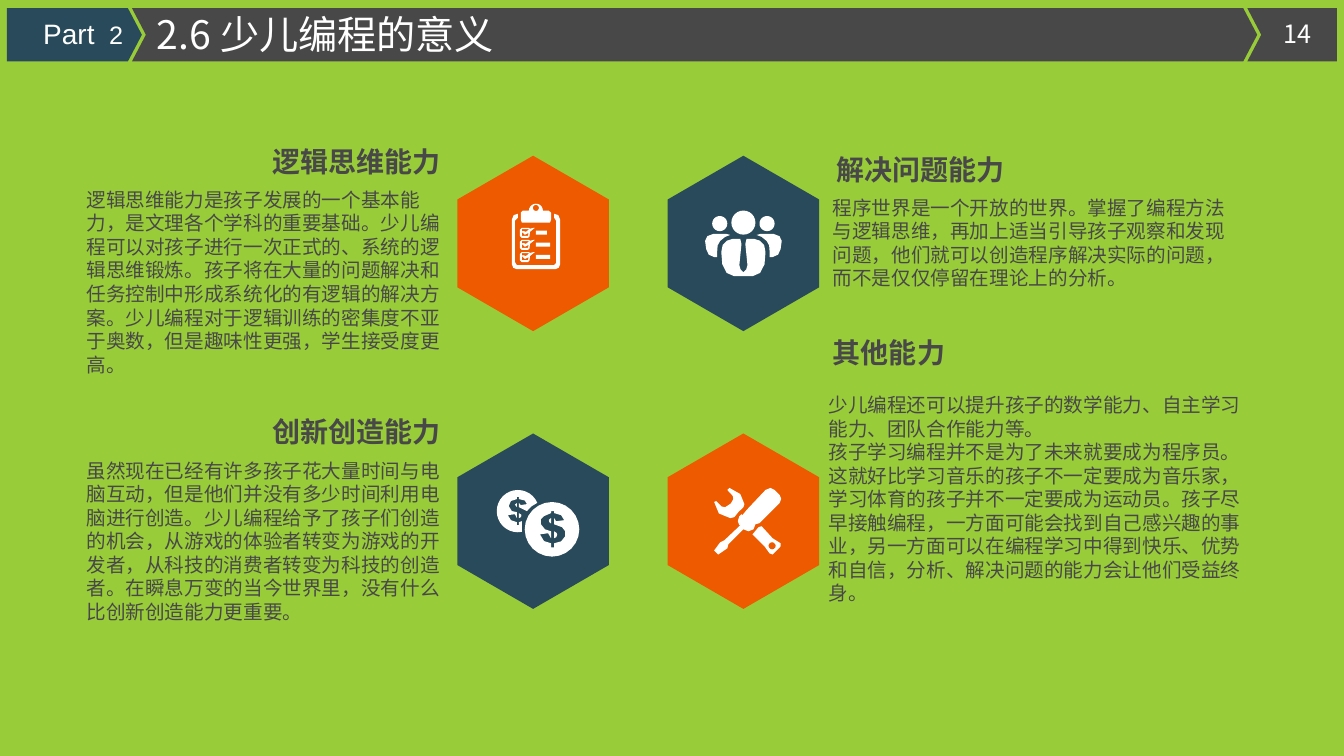
"""Build the slide on why children should learn programming."""
from math import cos, radians, sin

from pptx import Presentation
from pptx.dml.color import RGBColor
from pptx.enum.lang import MSO_LANGUAGE_ID as LANG
from pptx.enum.text import PP_ALIGN as ALIGN
from pptx.oxml import parse_xml
from pptx.oxml.ns import nsdecls, qn
from pptx.util import Pt

THEME = {
    "cjk": "Noto Sans CJK SC", "latin": "Arial",
    "green": "99CC39", "navy": "294A5A", "grey": "484849", "orange": "ED5A00", "white": "FFFFFF",
    "title": 28, "heading": 20, "number": 18, "body": 14, "leading": 1.2,
}
PART, TITLE, PAGE = ("Part", "2"), "2.6 少儿编程的意义", "14"

HEADINGS = [
    ("逻辑思维能力", 164.9, 99.4, ALIGN.RIGHT),
    ("解决问题能力", 590.4, 105.1, ALIGN.LEFT),
    ("其他能力", 588.2, 236.2, ALIGN.LEFT),
    ("创新创造能力", 164.9, 292.3, ALIGN.RIGHT),
]
BODIES = [
    (["逻辑思维能力是孩子发展的一个基本能力，是文理各个学科的重要基础。少儿编程可以对孩子进行一次正式的、系统的逻辑思维锻炼。孩子将在大量的问题解决和任务控制中形成系统化的有逻辑的解决方案。少儿编程对于逻辑训练的密集度不亚于奥数，但是趣味性更强，学生接受度更高。"],
     54.7, 130.6, 268.6, 126),
    (["程序世界是一个开放的世界。掌握了编程方法与逻辑思维，再加上适当引导孩子观察和发现问题，他们就可以创造程序解决实际的问题，而不是仅仅停留在理论上的分析。"],
     587.9, 136.1, 295.2, 74.9),
    (["少儿编程还可以提升孩子的数学能力、自主学习能力、团队合作能力等。",
      "孩子学习编程并不是为了未来就要成为程序员。这就好比学习音乐的孩子不一定要成为音乐家，学习体育的孩子并不一定要成为运动员。孩子尽早接触编程，一方面可能会找到自己感兴趣的事业，另一方面可以在编程学习中得到快乐、优势和自信，分析、解决问题的能力会让他们受益终身。"],
     585, 277.2, 312.5, 159.8),
    (["虽然现在已经有许多孩子花大量时间与电脑互动，但是他们并没有多少时间利用电脑进行创造。少儿编程给予了孩子们创造的机会，从游戏的体验者转变为游戏的开发者，从科技的消费者转变为科技的创造者。在瞬息万变的当今世界里，没有什么比创新创造能力更重要。"],
     54.7, 324, 268.6, 126),
]

BAR_TOP, BAR_BOTTOM, NOTCH = 5.8, 43.9, 10
BARS = [(5, 91.4, False, True, "navy"), (94.3, 888.5, True, True, "grey"),
        (891.4, 955.4, True, False, "grey")]
HEX_W, HEX_H = 108.4, 125.3
COLUMNS, ROWS = (381, 531.3), (173.9, 372.3)


def arc(cx, cy, radius, start=0, end=345, steps=23):
    """Return points along an arc, a full circle by default."""
    angles = [radians(start + (end - start) * i / steps) for i in range(steps + 1)]
    return [(cx + radius * cos(a), cy + radius * sin(a)) for a in angles]


def flip(points):
    return [(-x, y) for x, y in reversed(points)]


def shift(points, dx, dy):
    return [(x + dx, y + dy) for x, y in points]


def rect(x, y, w, h):
    return [(x, y), (x + w, y), (x + w, y + h), (x, y + h)]


FRAME = [(-10.9, -18.4), (-10.9, -21.2), (-13.9, -20.2), (-15.2, -17), (-15.2, 14.8), (-14.2, 17.4),
         (-11.6, 18.4), (15.7, 18.4), (18.3, 17.4), (19.3, 14.8), (19.3, -17), (18, -20.2),
         (15, -21.2), (15, -18.4), (16.4, -16.2), (16.4, 14), (15, 15.5), (-11.6, 15.5),
         (-13, 13.3), (-13, -16.2)]
CLIP = [(-3, -23.4), (-7.4, -23.4), (-8.8, -22), (-8.8, -17), (-8, -14.8), (12, -14.8),
        (12.8, -17), (12.8, -22), (11.2, -23.4), (7, -23.4)] + arc(2, -23.4, 5, 360, 180, 10)
CHECKBOX = [(5.8, 7.2), (7, 6), (7.2, 2.9), (10.8, 0), (10.1, 0), (7.2, 0.7), (6.5, 0), (1.4, 0),
            (0, 1.4), (0, 5.8), (1.4, 7.2)]
CHECK_GAP = [(1.4, 0.9), (6.3, 0.9), (6.3, 1.4), (4.3, 2.9), (2.2, 2.2), (1.4, 2.9), (3.6, 5),
             (6.3, 3.6), (5.8, 5.8), (1.4, 5.8)]
CLIPBOARD = [FRAME, CLIP, arc(2, -25.4, 2.2, 0, 330, 11)]
for top, width in ((-11.2, 7.9), (-2.6, 10.1), (6.1, 10.1)):
    CLIPBOARD += [shift(CHECKBOX, -9.5, top), shift(CHECK_GAP, -9.5, top),
                  rect(2, top + 2, width, 2.9)]

SHOULDER = [(-21.6, -6.8), (-25.8, -5.2), (-27.4, -1.8), (-26.6, 4), (-24.8, 8), (-20.9, 9.7),
            (-18.7, 9.7), (-18.7, 5.4), (-18.4, 1.4), (-16.6, -1.8), (-13, -4.7),
            (-9.4, -6.1), (-12.2, -6.8)]
TORSO = [(0, 20.5), (-2, 18.5), (-2.9, 15.5), (-1.4, 0.4), (-2.2, -3.2), (-7.9, -3.2), (-11.7, -2),
         (-14.8, 1), (-15.8, 6.1), (-15.1, 14.8), (-12, 21), (-6.5, 23.4)]
PEOPLE = [TORSO + flip(TORSO), SHOULDER, flip(SHOULDER), arc(-16.9, -14.2, 5.4),
          arc(16.9, -14.2, 5.4), arc(0, -14.9, 8.6)]

SMALL_COIN = [(-4.4, -12.2), (-8.8, -11.5), (-10.2, -13), (-10.2, -10.1), (-5.9, -7.9), (-4.4, -7.2),
              (-1.2, -10.6)] + arc(-10.9, -7.2, 15.1, -23, -281) + [
    (-8, 4), (-8, 0), (-10.2, 0.7), (-10.2, 2.9), (-11.6, 2.9), (-11.6, 0.7), (-15.8, -0.7),
    (-18.1, -4.3), (-13, -5), (-11.6, -2.2), (-11.6, -6.5), (-15.2, -7.2), (-17.4, -10.8),
    (-15.9, -14.4), (-11.6, -15.8), (-11.6, -17.3), (-10.2, -17.3), (-10.2, -15.8), (-6, -14.8)]
DOLLAR = [(22.2, -0.7), (16.4, 0), (15, -2.2), (15, 2.2), (20.7, 4.3), (22.9, 7.2), (22.9, 10.8),
          (20, 14.4), (15, 15.8), (15, 18.7), (12.8, 18.7), (12.8, 15.8), (7.8, 14.2), (4.9, 9.4),
          (10.7, 8.6), (12.8, 12.2), (12.8, 7.2), (8.5, 5.8), (5.6, 2.2), (5.6, -1.4), (7.8, -3.6),
          (12.8, -5.8), (12.8, -7.2), (15, -7.2), (15, -5.8), (20, -4.3)]
COINS = [SMALL_COIN, arc(13.5, 5.8, 19.5), DOLLAR,
         [(-11.6, -13), (-13, -11.8), (-11.6, -10.1)],
         [(-10.2, -2.2), (-8.6, -3), (-8.4, -4.6), (-10.2, -5.8)],
         [(15, 12.2), (16.6, 11.4), (17.2, 9.6), (16.8, 8.4), (15, 7.2)],
         [(12.8, -2.2), (11.2, -1), (11.6, 0.8), (12.8, 1.6)]]

SCREWDRIVER = [(25.9, -18.7), (22.3, -22.3), (19.4, -23.8), (15.8, -22.3), (2.2, -7.9), (-0.7, -4.3),
               (-1.4, -5), (-2.9, -3.6), (-4, 0), (-2.9, 2.9), (-2.2, 2.9), (-13.7, 13.7),
               (-16.6, 15.1), (-20.9, 20.9), (-18, 23.8), (-11.5, 19.4), (-10.8, 16.6), (0, 5.8),
               (3.6, 7.2), (7.2, 5.8), (8.6, 2.2), (11.5, 1.4), (25.9, -13), (27, -16)]
WRENCH = [(-3.6, -6.5), (0, -10), (0.7, -12.2), (-2.2, -19.4), (-10, -23.8), (-11.5, -22.3),
          (-7.5, -18), (-7.2, -15.8), (-9, -12.6), (-13, -10), (-15.5, -10.5), (-19.4, -14.4),
          (-20.9, -13.7), (-17.5, -5.5), (-9.4, -2.2), (-6.5, -2.9)]
HANDLE = [(10.8, 4.3), (6.5, 9.4), (15.1, 18), (18.7, 23), (20.9, 23.8), (26.6, 18),
          (26.6, 15.8), (20.9, 12.2), (13, 3.6)]
TOOLS = [SCREWDRIVER, WRENCH, HANDLE, arc(20.5, 17.6, 2.6, 0, 330, 11)]
ICONS = [(1, 1, "orange", TOOLS), (0, 0, "orange", CLIPBOARD),
         (1, 0, "navy", PEOPLE), (0, 1, "navy", COINS)]


def rgb(name):
    return RGBColor.from_string(THEME[name])


def outline(s, contours, color, cx=0, cy=0):
    builder = None
    for points in contours:
        start, *rest = [(Pt(x), Pt(y)) for x, y in shift(points, cx, cy)]
        if builder is None:
            builder = s.shapes.build_freeform(*start)
        else:
            builder.move_to(*start)
        builder.add_line_segments(rest, close=True)
    sp = builder.convert_to_shape()
    sp.fill.solid()
    sp.fill.fore_color.rgb = rgb(color)
    sp.line.fill.background()
    sp.shadow.inherit = False


def add_run(p, text, size, font="cjk", color="white", bold=False):
    r = p.add_run()
    r.text = text
    look = {"name": THEME[font], "size": Pt(size), "bold": bold}
    if font == "cjk":
        look["language_id"] = LANG.SIMPLIFIED_CHINESE
    for key, value in look.items():
        setattr(r.font, key, value)
    r.font.color.rgb = rgb(color)
    if font == "cjk":
        latin = r.font._element.find(qn("a:latin"))
        latin.addnext(parse_xml(f'<a:ea {nsdecls("a")} typeface="{THEME["cjk"]}"/>'))


def add_box(s, box):
    tf = s.shapes.add_textbox(*map(Pt, box)).text_frame
    tf.word_wrap = True
    return tf


def add_text(s, box, paragraphs, size, color="white", align=ALIGN.LEFT, bold=False):
    tf = add_box(s, box)
    for i, text in enumerate(paragraphs):
        p = tf.add_paragraph() if i else tf.paragraphs[0]
        p.alignment, p.line_spacing = align, Pt(size * THEME["leading"])
        p._p.get_or_add_pPr().set("hangingPunct", "0")
        add_run(p, text, size, color=color, bold=bold)


def add_part_label(s):
    p = add_box(s, (23.8, 8.6, 72, 31.7)).paragraphs[0]
    tabs = f'<a:tabLst {nsdecls("a")}><a:tab pos="{Pt(47.2)}" algn="l"/></a:tabLst>'
    p._p.get_or_add_pPr().append(parse_xml(tabs))
    add_run(p, PART[0] + "\t", THEME["heading"], "latin")
    add_run(p, PART[1], THEME["number"], "latin")


def main():
    prs = Presentation()
    prs.slide_width, prs.slide_height = Pt(960.48), Pt(540)
    s = prs.slides.add_slide(prs.slide_layouts[6])
    s.background.fill.solid()
    s.background.fill.fore_color.rgb = rgb("green")
    middle = (BAR_TOP + BAR_BOTTOM) / 2
    for left, right, notched, pointed, color in BARS:
        points = [(left, BAR_TOP), (right, BAR_TOP), (right + NOTCH * pointed, middle),
                  (right, BAR_BOTTOM), (left, BAR_BOTTOM), (left + NOTCH * notched, middle)]
        outline(s, [points], color)
    add_text(s, (907.9, 9.4, 38.9, 28.8), [PAGE], THEME["number"], align=ALIGN.CENTER)
    add_text(s, (105.1, 3.6, 396.7, 41), [TITLE], THEME["title"])
    add_part_label(s)
    half = [(0, -HEX_H / 2), (-HEX_W / 2, -HEX_H / 4), (-HEX_W / 2, HEX_H / 4), (0, HEX_H / 2)]
    for col, row, color, icon in ICONS:
        center = COLUMNS[col], ROWS[row]
        outline(s, [half + flip(half[1:3])], color, *center)
        outline(s, icon, "white", *center)
    for text, x, y, align in HEADINGS:
        add_text(s, (x, y, 157, 31.7), [text], THEME["heading"], "grey", align, True)
    for paragraphs, *box in BODIES:
        add_text(s, box, paragraphs, THEME["body"], "grey")
    prs.save("out.pptx")


if __name__ == "__main__":
    main()
